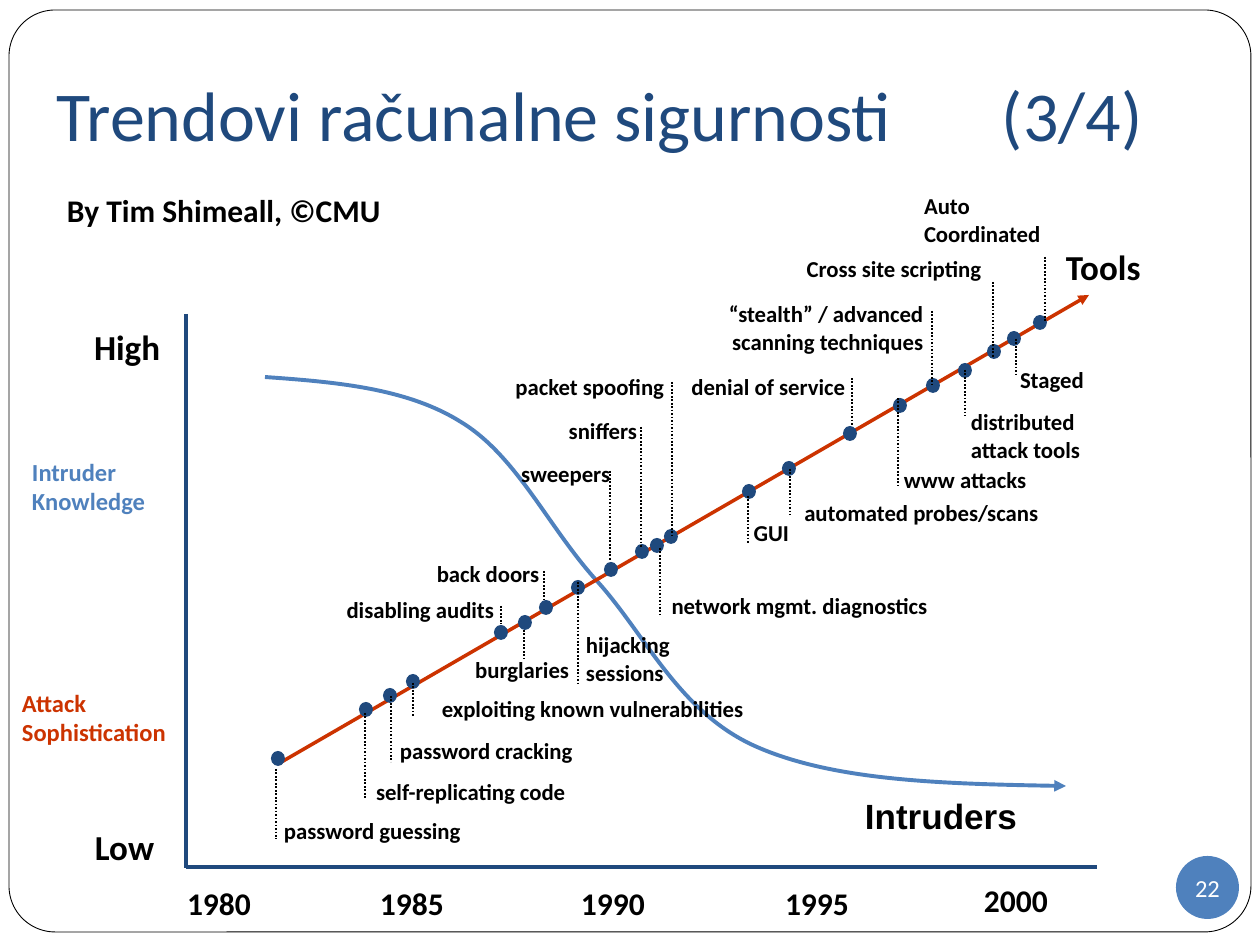
from lxml.etree import SubElement
from pptx import Presentation
from pptx.dml.color import RGBColor
from pptx.enum.dml import MSO_LINE
from pptx.enum.shapes import MSO_CONNECTOR, MSO_SHAPE
from pptx.enum.text import MSO_ANCHOR, MSO_AUTO_SIZE, PP_ALIGN
from pptx.oxml.ns import qn
from pptx.util import Emu, Pt

SCALE = 914400 / 126
NAVY, BLUE, RED, BLACK, WHITE = "1F497D", "4F81BD", "CC3300", "000000", "FFFFFF"
LEFT, RIGHT, MID = PP_ALIGN.LEFT, PP_ALIGN.RIGHT, PP_ALIGN.CENTER

# text, label box, side, dot corner, stem (x, top, bottom)
EVENTS = [
    ("password guessing", (271, 811, 207, 42), LEFT, (271, 751), (276, 769, 839)),
    ("self-replicating code", (363, 772, 221, 42), LEFT, (359, 702), (365, 713, 799)),
    ("password cracking", (387, 731, 203, 42), LEFT, (383, 688), (391, 696, 762)),
    ("exploiting known vulnerabilities", (422, 689, 334, 42), RIGHT, (406, 674), (413, 683, 717)),
    ("disabling audits", (329, 590, 178, 42), RIGHT, (494, 625), (501, 606, 624)),
    ("burglaries", (459, 650, 123, 42), RIGHT, (518, 615), (524, 630, 659)),
    ("back doors", (420, 554, 132, 42), RIGHT, (539, 600), (544, 571, 601)),
    ("hijacking\nsessions", (573, 625, 118, 69), LEFT, (571, 580), (578, 582, 685)),
    ("sweepers", (505, 454, 118, 42), RIGHT, (604, 562), (610, 471, 561)),
    ("sniffers", (552, 411, 98, 42), RIGHT, (635, 544), (641, 427, 548)),
    ("network mgmt. diagnostics", (653, 586, 287, 42), RIGHT, (650, 538), (660, 548, 615)),
    ("packet spoofing", (498, 367, 179, 42), RIGHT, (664, 529), (672, 382, 538)),
    ("GUI", (738, 513, 64, 42), RIGHT, (742, 484), (748, 496, 543)),
    ("automated probes/scans", (786, 493, 265, 42), RIGHT, (782, 461), (790, 469, 515)),
    ("denial of service", (674, 367, 184, 42), RIGHT, (843, 426), (852, 378, 425)),
    ("www attacks", (891, 460, 176, 42), LEFT, (893, 398), (898, 398, 485)),
    ("“stealth” / advanced scanning techniques", (683, 294, 253, 69), RIGHT,
     (926, 378), (932, 311, 384), True),
    ("distributed\nattack tools", (958, 402, 140, 69), LEFT, (958, 363), (965, 370, 416)),
    ("Cross site scripting", (789, 249, 205, 42), RIGHT, (987, 344), (993, 282, 358)),
    ("Staged", (1007, 360, 92, 42), LEFT, (1007, 331), (1016, 339, 374)),
    ("Auto \vCoordinated", (911, 186, 146, 69), LEFT, (1033, 315), (1045, 257, 321)),
]
NOTES = [
    ("High", (81, 319, 95, 57), 20, BLACK),
    ("Low", (82, 819, 88, 57), 20, BLACK),
    ("Tools", (1053, 239, 103, 57), 20, BLACK),
    ("Intruder\nKnowledge", (19, 451, 142, 73), 14, BLUE),
    ("Attack\nSophistication", (9, 682, 174, 73), 14, RED),
    ("By Tim Shimeall, ©CMU", (54, 185, 341, 50), 18, BLACK),
]
YEARS = [(1980, 174, 878), (1985, 367, 878), (1990, 568, 878),
         (1995, 772, 878), (2000, 971, 875)]
CURVE = [(265, 377), (335, 382), (407, 388), (461, 422), (517, 456), (548, 527),
         (597, 581), (646, 635), (679, 713), (757, 747), (835, 781), (950, 784),
         (1066, 786)]


def px(*nums):
    """Turn pixels into EMU."""
    return [Emu(round(n * SCALE)) for n in nums]


def hue(code):
    """Turn a hex string into a colour."""
    return RGBColor.from_string(code)


def style(frame, size, color, side=LEFT, bold=True, face="Calibri"):
    """Format every paragraph of a text frame."""
    for para in frame.paragraphs:
        para.alignment = side
        font = para.font
        font.name, font.size, font.bold = face, Pt(size), bold
        font.color.rgb = hue(color)


def inset(frame, *sides):
    """Set the left, top, right and bottom margins."""
    (frame.margin_left, frame.margin_top,
     frame.margin_right, frame.margin_bottom) = px(*sides)


def label(slide, text, box, size, color, side=LEFT, wrap=False, face="Calibri"):
    """Add a bold text box."""
    frame = slide.shapes.add_textbox(*px(*box)).text_frame
    frame.text = text
    frame.word_wrap = wrap
    frame.auto_size = MSO_AUTO_SIZE.SHAPE_TO_FIT_TEXT
    inset(frame, 13, 6, 13, 6)
    style(frame, size, color, side, face=face)


def plain(slide, kind, box, fill):
    """Add a filled shape without a line or shadow."""
    shape = slide.shapes.add_shape(kind, *px(*box))
    shape.shadow.inherit = False
    shape.fill.solid()
    shape.fill.fore_color.rgb = hue(fill)
    shape.line.fill.background()
    return shape


def stroke(shape, color, width, arrow=False):
    """Format a line and give it an arrowhead if asked."""
    shape.line.color.rgb = hue(color)
    shape.line.width = Pt(width)
    if arrow:
        SubElement(shape.line._get_or_add_ln(), qn("a:tailEnd"), type="triangle")


def line(slide, ends, color, width, arrow=False):
    """Add a straight line without a shadow."""
    link = slide.shapes.add_connector(MSO_CONNECTOR.STRAIGHT, *px(*ends))
    stroke(link, color, width, arrow)
    SubElement(link._element.spPr, qn("a:effectLst"))
    return link


def curve(slide, points):
    """Add a smooth arrow through Bezier points."""
    build = slide.shapes.build_freeform(*points[0], scale=SCALE)
    build.add_line_segments(points[1:], close=False)
    shape = build.convert_to_shape()
    shape.shadow.inherit = False
    shape.fill.background()
    stroke(shape, BLUE, 2.25, True)
    path = shape._element.find(".//" + qn("a:path"))
    steps = path.findall(qn("a:lnTo"))
    for i in range(0, len(steps), 3):
        bend = SubElement(path, qn("a:cubicBezTo"))
        for step in steps[i:i + 3]:
            bend.append(step[0])
            path.remove(step)


def event(slide, text, box, side, dot, stem, wrap=False):
    """Add a dot with its dotted stem and label."""
    plain(slide, MSO_SHAPE.OVAL, (*dot, 14, 15), NAVY)
    x, top, end = stem
    line(slide, (x, top, x, end), BLACK, 1).line.dash_style = MSO_LINE.ROUND_DOT
    label(slide, text, box, 13, BLACK, side, wrap)


def border(slide):
    """Add the rounded page border at the back."""
    shape = plain(slide, MSO_SHAPE.ROUNDED_RECTANGLE, (9, 10, 1242, 922), WHITE)
    shape.adjustments[0] = 0.05
    stroke(shape, BLACK, 0.5)
    slide.shapes._spTree.insert(2, shape._element)


def head(slide, text):
    """Fill and place the title."""
    title = slide.shapes.title
    title.left, title.top, title.width, title.height = px(44, 38, 1181, 158)
    frame = title.text_frame
    frame.text = text
    frame.auto_size = MSO_AUTO_SIZE.NONE
    frame.vertical_anchor = MSO_ANCHOR.MIDDLE
    inset(frame, 13, 6, 13, 13)
    style(frame, 40, NAVY, bold=False)


def badge(slide, text):
    """Add the round page number."""
    frame = plain(slide, MSO_SHAPE.OVAL, (1176, 856, 63, 63), BLUE).text_frame
    frame.text = text
    frame.word_wrap = False
    frame.vertical_anchor = MSO_ANCHOR.MIDDLE
    inset(frame, 0, 0, 0, 0)
    style(frame, 14, WHITE, MID, bold=False)


def main():
    """Build the slide and save it."""
    deck = Presentation()
    deck.slide_width, deck.slide_height = px(1260, 945)
    slide = deck.slides.add_slide(deck.slide_layouts[5])
    border(slide)
    head(slide, "Trendovi računalne sigurnosti\t\t(3/4)")
    badge(slide, "22")
    label(slide, "Intruders", (852, 788, 181, 57), 20, BLACK, face="Arial")
    curve(slide, CURVE)
    line(slide, (186, 314, 186, 868), NAVY, 2.25)
    line(slide, (186, 867, 1097, 867), NAVY, 2.25)
    line(slide, (278, 764, 1089, 295), RED, 2, True)
    for note in NOTES:
        label(slide, *note)
    for year, x, y in YEARS:
        label(slide, str(year), (x, y, 93, 52), 18, BLACK)
    for row in EVENTS:
        event(slide, *row)
    deck.save("out.pptx")


if __name__ == "__main__":
    main()
